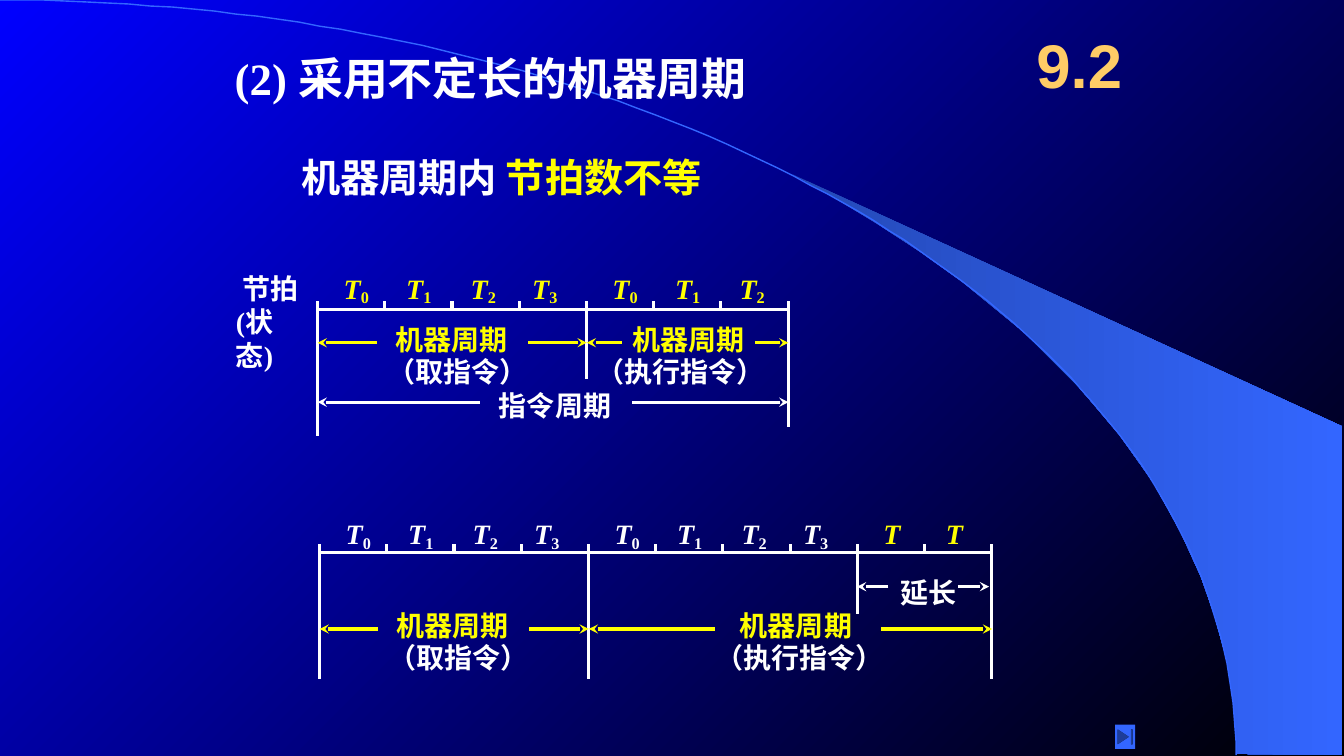
import math

from lxml import etree
from pptx import Presentation
from pptx import util as u
from pptx.dml.color import RGBColor
from pptx.enum import shapes, text
from pptx.oxml.ns import qn

PX = 9144  # EMU in one px, 100 px to the inch
COLORS = {
    "white": "FFFFFF", "yellow": "FFFF00", "gold": "FFCC66", "blue": "3366FF",
    "deep": "2449B6", "sky": "0000FF", "night": "000000",
}
TICK = 200 / 3              # width of one beat
CYCLE = 4 * TICK            # width of a four-beat machine cycle
BEAT_OFFSETS = (16, 78, 142, 203)


def px(length):
    return u.Emu(round(length * PX))


def rgb(name):
    return RGBColor.from_string(COLORS[name])


def shade(fill, start, end, angle):
    fill.gradient()
    fill.gradient_angle = angle
    for stop, name in zip(fill.gradient_stops, (start, end)):
        stop.color.rgb = rgb(name)


def write(slide, box, paragraphs, size=20, font="Times New Roman", wrap=False):
    """Each paragraph is a list of (words, colour, style) runs."""
    frame = slide.shapes.add_textbox(*map(px, box)).text_frame
    frame.word_wrap = wrap
    frame.auto_size = text.MSO_AUTO_SIZE.SHAPE_TO_FIT_TEXT
    for i, runs in enumerate(paragraphs):
        paragraph = frame.add_paragraph() if i else frame.paragraphs[0]
        for words, color, style in runs:
            run = paragraph.add_run()
            run.text = words
            run.font.name, run.font.size, run.font.bold = font, u.Pt(size), True
            run.font.color.rgb = rgb(color)
            run.font.italic = style == "italic"
            if style == "sub":
                run.font._element.set("baseline", "-15000")
    return frame


def draw_line(slide, x1, y1, x2, y2, color="white", arrow=False):
    line = slide.shapes.add_connector(
        shapes.MSO_CONNECTOR.STRAIGHT, px(x1), px(y1), px(x2), px(y2))
    line.line.color.rgb = rgb(color)
    line.line.width = u.Pt(2.25)
    properties = line._element.spPr
    if arrow:
        etree.SubElement(properties.find(qn("a:ln")), qn("a:tailEnd"), type="stealth")
    etree.SubElement(properties, qn("a:effectLst"))


def outline(slide, points, close):
    builder = slide.shapes.build_freeform(*points[0], scale=PX)
    builder.add_line_segments(points[1:], close=close)
    shape = builder.convert_to_shape()
    shape.shadow.inherit = False
    return shape


def backdrop(slide, width, height):
    shade(slide.background.fill, "sky", "night", 315)
    # Blue sweep on the right
    sweep = outline(slide, [
        (1227, 748), (1331, 749), (1331, 423), (786, 173), (832, 199), (870, 222),
        (913, 250), (955, 280), (1016, 330), (1070, 384), (1110, 431), (1144, 479),
        (1171, 528), (1191, 572), (1204, 609), (1217, 656), (1223, 696)], True)
    shade(sweep.fill, "deep", "blue", 0)
    sweep.line.fill.background()
    # Quarter ellipse from the top left to the bottom
    angles = [math.radians(degree) for degree in range(91)]
    arc = outline(slide, [(round(width * math.sin(a)), round(height * (1 - math.cos(a))))
                          for a in angles], False)
    arc.fill.background()
    arc.line.color.rgb = rgb("blue")
    arc.line.width = u.Pt(1)


def headings(slide):
    write(slide, (223, 45, 640, 63),
          [[("(2) 采用不定长的机器周期", "white", None)]], 32, wrap=True)
    write(slide, (289, 147, 551, 57),
          [[("机器周期内 ", "white", None), ("节拍数不等", "yellow", None)]], 28, wrap=True)
    write(slide, (224, 264, 90, 77),
          [[(" 节拍", "white", None)], [("(状态)", "white", None)]], wrap=True)
    section = write(slide, (1008, 17, 125, 92), [[("9.2", "gold", None)]], 44, "Arial", True)
    section.auto_size = text.MSO_AUTO_SIZE.NONE
    section.vertical_anchor = text.MSO_ANCHOR.MIDDLE
    section.paragraphs[0].alignment = text.PP_ALIGN.CENTER


def timeline(slide, left, top, beats, rise, drops, arrows, captions):
    """Beats along an axis; drops maps tick numbers to lengths of long ticks."""
    # Axis and ticks
    draw_line(slide, left, top + 8, left + len(beats) * TICK, top + 8)
    for i in range(len(beats) + 1):
        x = left + i * TICK
        draw_line(slide, x, top, x, top + drops.get(i, 8))
    # Beat names
    for i, (number, color) in enumerate(beats):
        cycle, beat = divmod(i, 4)
        runs = [("T", color, "italic")]
        if number:
            runs.append((number, color, "sub"))
        write(slide, (left + cycle * CYCLE + BEAT_OFFSETS[beat], top - rise,
                      47 if number else 37, 44), [runs])
    # Spans and their captions
    for start, end, y, color in arrows:
        draw_line(slide, left + start, top + y, left + end, top + y, color, True)
    for words, x, y, color in captions:
        write(slide, (left + x, top + y, 20 + 28.2 * len(words), 44),
              [[(words, color, None)]])


def next_button(slide, *box):
    button = slide.shapes.add_shape(shapes.MSO_SHAPE.ACTION_BUTTON_END, *map(px, box))
    button.shadow.inherit = False
    button.fill.solid()
    button.fill.fore_color.rgb = rgb("blue")
    button.line.fill.background()


def main():
    deck = Presentation()
    deck.slide_width, deck.slide_height = px(1333), px(750)
    slide = deck.slides.add_slide(deck.slide_layouts[6])
    backdrop(slide, 1226, 749)
    headings(slide)
    # Short execute cycle
    timeline(
        slide, 315, 299, [(n, "yellow") for n in "0123012"], 35,
        {0: 134, 4: 77, 7: 125},
        [(59, 0, 41, "yellow"), (209, 267, 41, "yellow"),
         (302, 267, 41, "yellow"), (434, 467, 41, "yellow"),
         (161, 0, 100, "white"), (312, 467, 100, "white")],
        [("机器周期", 67, 16, "yellow"), ("机器周期", 302, 16, "yellow"),
         ("（取指令）", 59, 48, "white"), ("（执行指令）", 267, 48, "white"),
         ("指令周期", 170, 82, "white")])
    # Extended execute cycle
    timeline(
        slide, 317, 540, [(n, "white") for n in "01230123"] + [("", "yellow")] * 2, 32,
        {0: 134, 4: 134, 8: 69, 10: 134},
        [(58, 0, 84, "yellow"), (208, 267, 84, "yellow"),
         (392, 267, 84, "yellow"), (557, 667, 84, "yellow"),
         (564, 533, 42, "white"), (633, 664, 42, "white")],
        [("机器周期", 66, 59, "yellow"), ("机器周期", 407, 59, "yellow"),
         ("（取指令）", 58, 91, "white"), ("（执行指令）", 383, 91, "white"),
         ("延长", 566, 26, "white")])
    next_button(slide, 1106, 719, 20, 24)
    deck.save("out.pptx")


if __name__ == "__main__":
    main()
